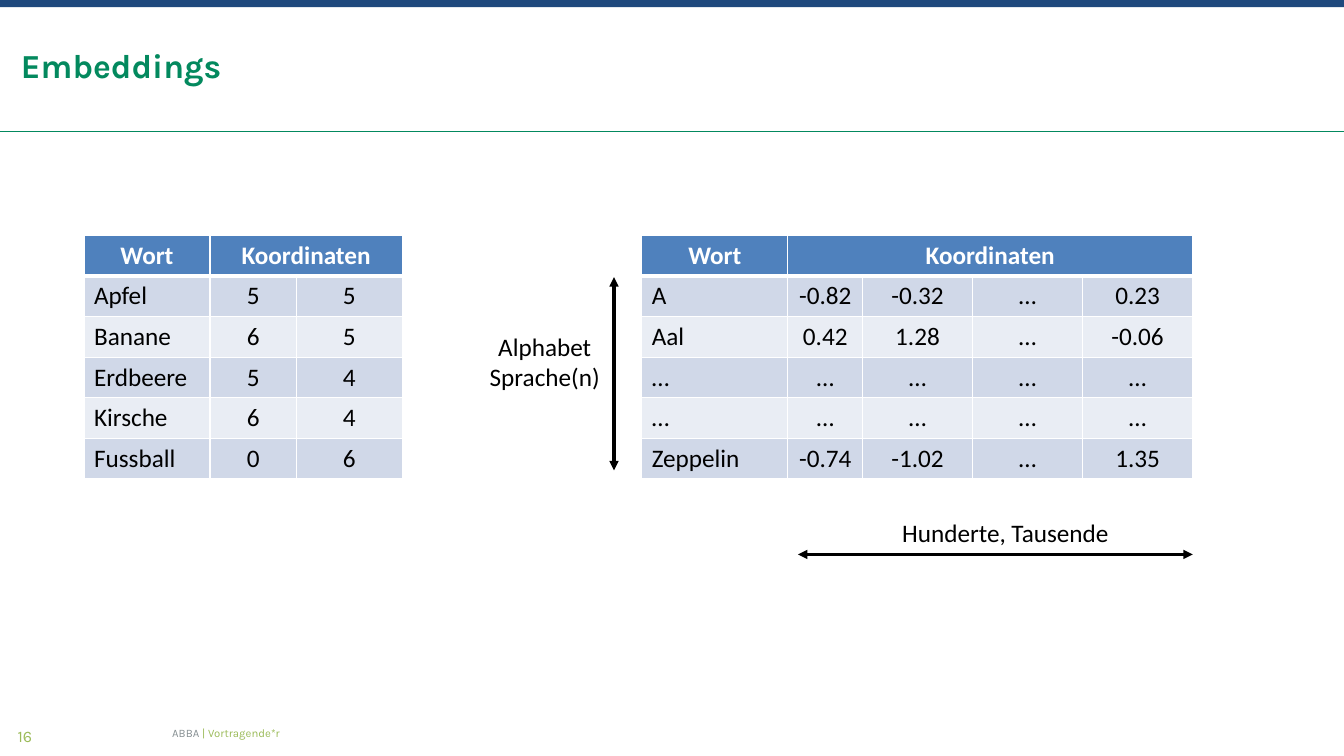
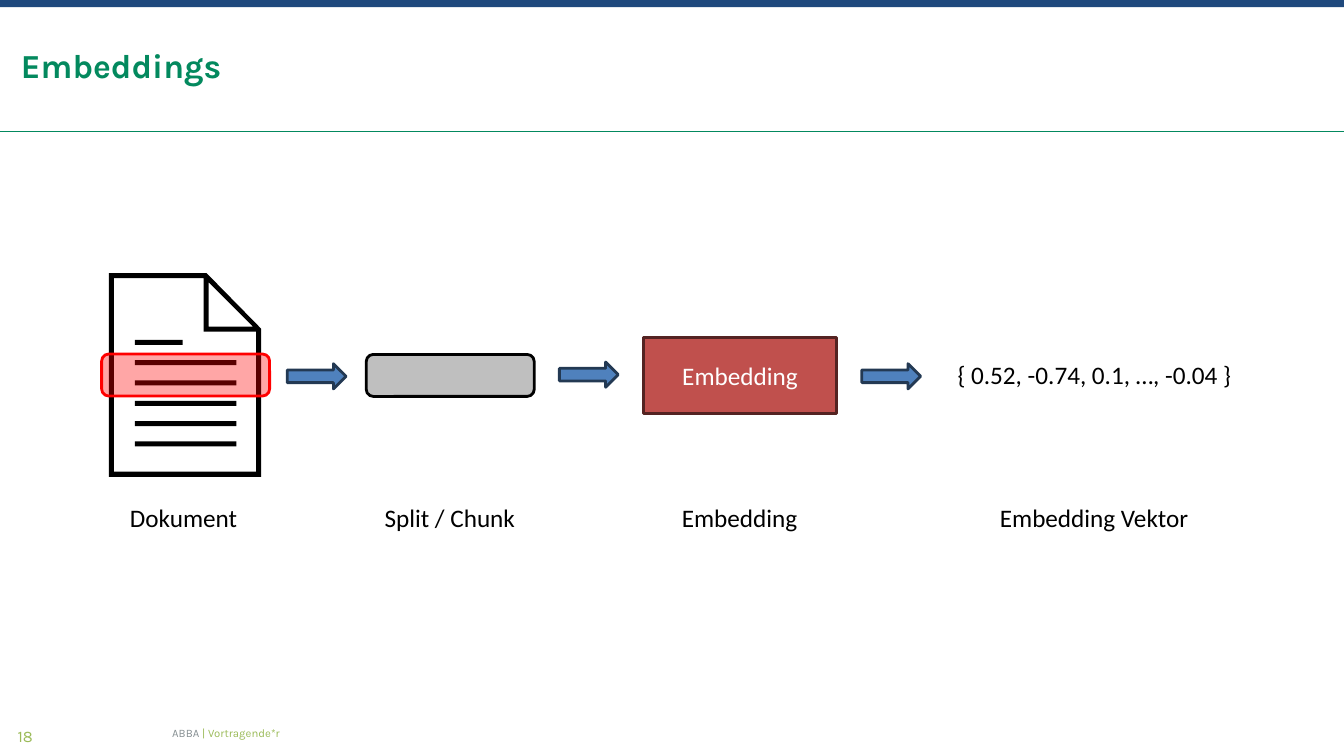
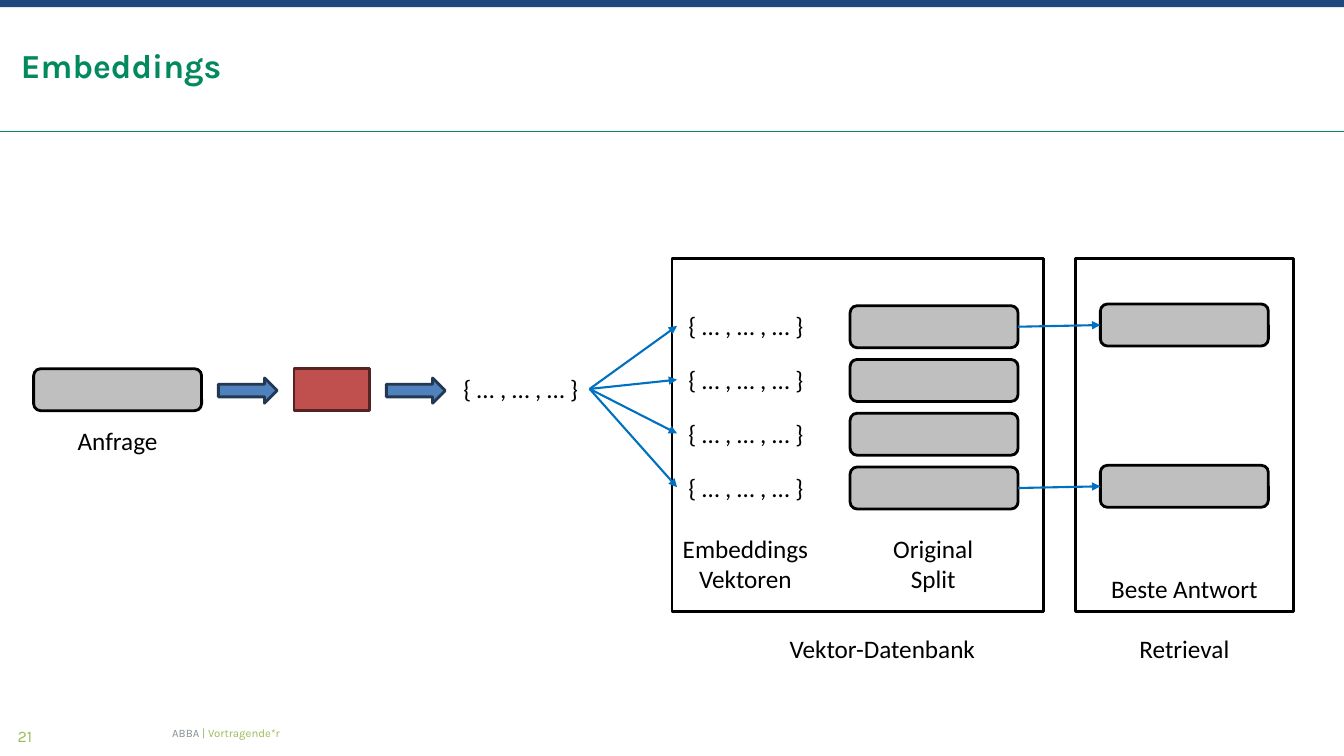
import dataclasses
import pptx
import pptx.dml.color
import pptx.enum.shapes
import pptx.enum.text
import pptx.oxml
import pptx.oxml.ns
import pptx.util

SHAPE = pptx.enum.shapes.MSO_SHAPE
ALIGN = pptx.enum.text.PP_ALIGN
ANCHOR = pptx.enum.text.MSO_ANCHOR
Pt = pptx.util.Pt
RGB = pptx.dml.color.RGBColor.from_string
qn = pptx.oxml.ns.qn
NS = pptx.oxml.ns.nsdecls("a")


@dataclasses.dataclass(frozen=True)
class Theme:
    green: str = "03895E"
    navy: str = "1F497D"
    lime: str = "9BBB59"
    slate: str = "889194"
    black: str = "000000"
    white: str = "FFFFFF"
    blue: str = "4F81BD"
    blue_edge: str = "233953"
    brick: str = "C0504D"
    brick_edge: str = "542322"
    grey: str = "BFBFBF"
    red: str = "FF0000"
    link: str = "0070C0"
    bands: tuple = ("D0D8E8", "E9EDF4")
    body_font: str = "Calibri"
    brand_font: str = "Karla"
    title: float = 24
    body: float = 18
    number: float = 11.5
    footer: float = 8.1
    outline: float = 2


T = Theme()
prs = pptx.Presentation()
prs.slide_width = pptx.util.Inches(13.33333)
prs.slide_height = pptx.util.Inches(7.5)
COLS, ROWS = 160, 90
U = prs.slide_width / COLS
V = prs.slide_height / ROWS


def add(s, kind, x, y, w, h, text="", fill=None, line=None, color=T.black,
        size=T.body, font=T.body_font, bold=False, align=ALIGN.CENTER, anchor=ANCHOR.TOP):
    at = [int(x * U), int(y * V), int(w * U), int(h * V)]
    if kind is None:
        sp = s.shapes.add_textbox(*at)
    else:
        sp = s.shapes.add_shape(kind, *at)
        sp.shadow.inherit = False
        if fill:
            sp.fill.solid()
            sp.fill.fore_color.rgb = RGB(fill)
        else:
            sp.fill.background()
        if line:
            sp.line.color.rgb = RGB(line)
            sp.line.width = Pt(T.outline)
        else:
            sp.line.fill.background()
    if text:
        tf = sp.text_frame
        tf.text = text
        tf.word_wrap = align == ALIGN.LEFT
        tf.vertical_anchor = anchor
        if font == T.brand_font:
            tf.margin_left = tf.margin_right = tf.margin_top = tf.margin_bottom = 0
        for p in tf.paragraphs:
            p.alignment = align
            for r in p.runs:
                r.font.name, r.font.size, r.font.bold = font, Pt(size), bold
                r.font.color.rgb = RGB(color)
    return sp


def connect(s, x1, y1, x2, y2, color, width, ends=()):
    cx = s.shapes.add_connector(pptx.enum.shapes.MSO_CONNECTOR.STRAIGHT,
                                int(x1 * U), int(y1 * V), int(x2 * U), int(y2 * V))
    cx.line.color.rgb = RGB(color)
    cx.line.width = Pt(width)
    spPr = cx._element.spPr
    for end in ends:
        spPr.find(qn("a:ln")).append(pptx.oxml.parse_xml(f'<a:{end} {NS} type="triangle"/>'))
    spPr.append(pptx.oxml.parse_xml(f"<a:effectLst {NS}/>"))
    return cx


slides = []
for number in (16, 18, 21):
    s = prs.slides.add_slide(prs.slide_layouts[6])
    slides.append(s)
    connect(s, 0, 15.7, COLS, 15.7, T.green, 0.72)
    add(s, SHAPE.RECTANGLE, 0, 0, COLS, 0.85, fill=T.navy)
    add(s, None, 2.5, 5.3, 155, 4.8, "Embeddings", color=T.green, size=T.title,
        font=T.brand_font, bold=True, align=ALIGN.LEFT, anchor=ANCHOR.BOTTOM)
    add(s, None, 2.1, 86.5, 15, 2.3, str(number), color=T.lime, size=T.number,
        font=T.brand_font, align=ALIGN.LEFT)
    footer = add(s, None, 20.5, 86.4, 119, 1.8, "ABBA ", color=T.slate, size=T.footer,
                 font=T.brand_font, align=ALIGN.LEFT, anchor=ANCHOR.MIDDLE)
    r = footer.text_frame.paragraphs[0].add_run()
    r.text = "| Vortragende*r"
    r.font.name, r.font.size = T.brand_font, Pt(T.footer)
    r.font.color.rgb = RGB(T.lime)

tables_slide, pipeline_slide, retrieval_slide = slides

s = tables_slide
tables = [
    (10, [15, 10.3, 12.6], [
        ["Wort", "Koordinaten", ""],
        ["Apfel", "5", "5"],
        ["Banane", "6", "5"],
        ["Erdbeere", "5", "4"],
        ["Kirsche", "6", "4"],
        ["Fussball", "0", "6"]]),
    (76.4, [17.4, 8.9, 13.1, 13.1, 13.1], [
        ["Wort", "Koordinaten", "", "", ""],
        ["A", "-0.82", "-0.32", "…", "0.23"],
        ["Aal", "0.42", "1.28", "…", "-0.06"],
        ["…"] * 5,
        ["…"] * 5,
        ["Zeppelin", "-0.74", "-1.02", "…", "1.35"]]),
]
row_h = 4.84
for x, widths, rows in tables:
    table = s.shapes.add_table(len(rows), len(widths), int(x * U), int(28 * V),
                               int(sum(widths) * U), int(row_h * len(rows) * V)).table
    table.horz_banding = False
    for column, width in zip(table.columns, widths):
        column.width = int(width * U)
    table.cell(0, 1).merge(table.cell(0, len(widths) - 1))
    for i, row in enumerate(rows):
        table.rows[i].height = int(row_h * V)
        for j, value in enumerate(row):
            cell = table.cell(i, j)
            tcPr = cell._tc.get_or_add_tcPr()
            for side in "LRTB":
                thick = (i == 0 and side == "B") or (i == 1 and side == "T")
                tcPr.append(pptx.oxml.parse_xml(
                    f'<a:ln{side} {NS} w="{Pt(3 if thick else 1)}"><a:solidFill>'
                    f'<a:srgbClr val="{T.white}"/></a:solidFill></a:ln{side}>'))
            cell.fill.solid()
            cell.fill.fore_color.rgb = RGB(T.bands[(i - 1) % 2] if i else T.blue)
            cell.text_frame.text = value
            p = cell.text_frame.paragraphs[0]
            p.alignment = ALIGN.CENTER if i == 0 or j else ALIGN.LEFT
            p.font.size = Pt(T.body)
            for r in p.runs:
                r.font.name, r.font.size, r.font.bold = T.body_font, Pt(T.body), i == 0
                r.font.color.rgb = RGB(T.black if i else T.white)

both = ("headEnd", "tailEnd")
connect(s, 95, 66, 142, 66, T.black, 2.25, both)
add(s, None, 106, 61, 27.4, 4.8, "Hunderte, Tausende")
connect(s, 73.1, 33, 73.1, 56, T.black, 2.25, both)
add(s, None, 57, 38.8, 15.7, 8.5, "Alphabet\nSprache(n)")

s = pipeline_slide
for i in range(6):
    add(s, SHAPE.RECTANGLE, 16.05, 40.45 + 2.42 * i, 12.1 if i else 5.7, 0.6, fill=T.black)
page = [
    [(108, 271), (108, 473), (259, 473), (259, 326), (205, 271)],
    [(207, 280), (251, 324), (207, 324)],
    [(113, 468), (113, 276), (202, 276), (202, 329), (254, 329), (254, 468)],
]
outline = s.shapes.build_freeform(*page[0][0], scale=pptx.util.Inches(0.01))
for i, points in enumerate(page):
    if i:
        outline.move_to(*points[0])
    outline.add_line_segments(points[1:], close=True)
sp = outline.convert_to_shape()
sp.shadow.inherit = False
sp.fill.solid()
sp.fill.fore_color.rgb = RGB(T.black)
sp.line.fill.background()

marker = add(s, SHAPE.ROUNDED_RECTANGLE, 12.1, 42.15, 20, 5, fill=T.red, line=T.red)
color = marker._element.spPr.find(qn("a:solidFill")).find(qn("a:srgbClr"))
color.append(pptx.oxml.parse_xml(f'<a:alpha {NS} val="35000"/>'))
add(s, SHAPE.ROUNDED_RECTANGLE, 43.6, 42.2, 20, 5, fill=T.grey, line=T.black)
add(s, SHAPE.RECTANGLE, 76.6, 40.2, 23, 9, "Embedding", fill=T.brick, line=T.brick_edge,
    color=T.white, anchor=ANCHOR.MIDDLE)
add(s, None, 112.6, 42.2, 35.4, 4.8, "{ 0.52, -0.74, 0.1, …, -0.04 }")
for x, y in ((34.2, 43.3), (66.6, 43.1), (102.6, 43.3)):
    add(s, SHAPE.RIGHT_ARROW, x, y, 7, 3, fill=T.blue, line=T.blue_edge)
for x, w, label in ((14.2, 15.3, "Dokument"), (44.5, 18.1, "Split / Chunk"),
                    (79.9, 16.3, "Embedding"), (117.7, 25.1, "Embedding Vektor")):
    add(s, None, x, 59.2, w, 4.8, label)

s = retrieval_slide
vector = "{ … , … , … }"
for x, w in ((80, 44.2), (128, 26)):
    add(s, SHAPE.RECTANGLE, x, 30.8, w, 42, line=T.black)
add(s, SHAPE.ROUNDED_RECTANGLE, 4, 43.9, 20, 5, fill=T.grey, line=T.black)
add(s, SHAPE.RECTANGLE, 35, 43.9, 9, 5, fill=T.brick, line=T.brick_edge)
for x in (26, 46):
    add(s, SHAPE.RIGHT_ARROW, x, 45, 7, 3, fill=T.blue, line=T.blue_edge)
query = add(s, None, 53.8, 43.9, 16.4, 4.8, vector)

links, splits = [], []
for i in range(4):
    y = 36.4 + 6.4 * i
    stored = add(s, None, 80.6, y, 16.4, 4.8, vector)
    splits.append(add(s, SHAPE.ROUNDED_RECTANGLE, 101.2, y, 20, 5, fill=T.grey, line=T.black))
    links.append((query, stored))
for split, y in ((splits[0], 36.2), (splits[3], 55.4)):
    answer = add(s, SHAPE.ROUNDED_RECTANGLE, 131, y, 20, 5, fill=T.grey, line=T.black)
    links.append((split, answer))
for start, end in links:
    cx = connect(s, 0, 0, 0, 0, T.link, 1.5, ("tailEnd",))
    cx.begin_connect(start, 3)
    cx.end_connect(end, 1)

for x, y, w, h, label in (
        (8, 50, 12, 4.8, "Anfrage"),
        (80, 62.9, 17.5, 8.5, "Embeddings\nVektoren"),
        (105.1, 62.9, 12, 8.5, "Original\nSplit"),
        (131, 67.7, 20, 4.8, "Beste Antwort"),
        (92.6, 74.8, 24.9, 4.8, "Vektor-Datenbank"),
        (134.4, 74.8, 13.2, 4.8, "Retrieval")):
    add(s, None, x, y, w, h, label)

prs.save("out.pptx")
